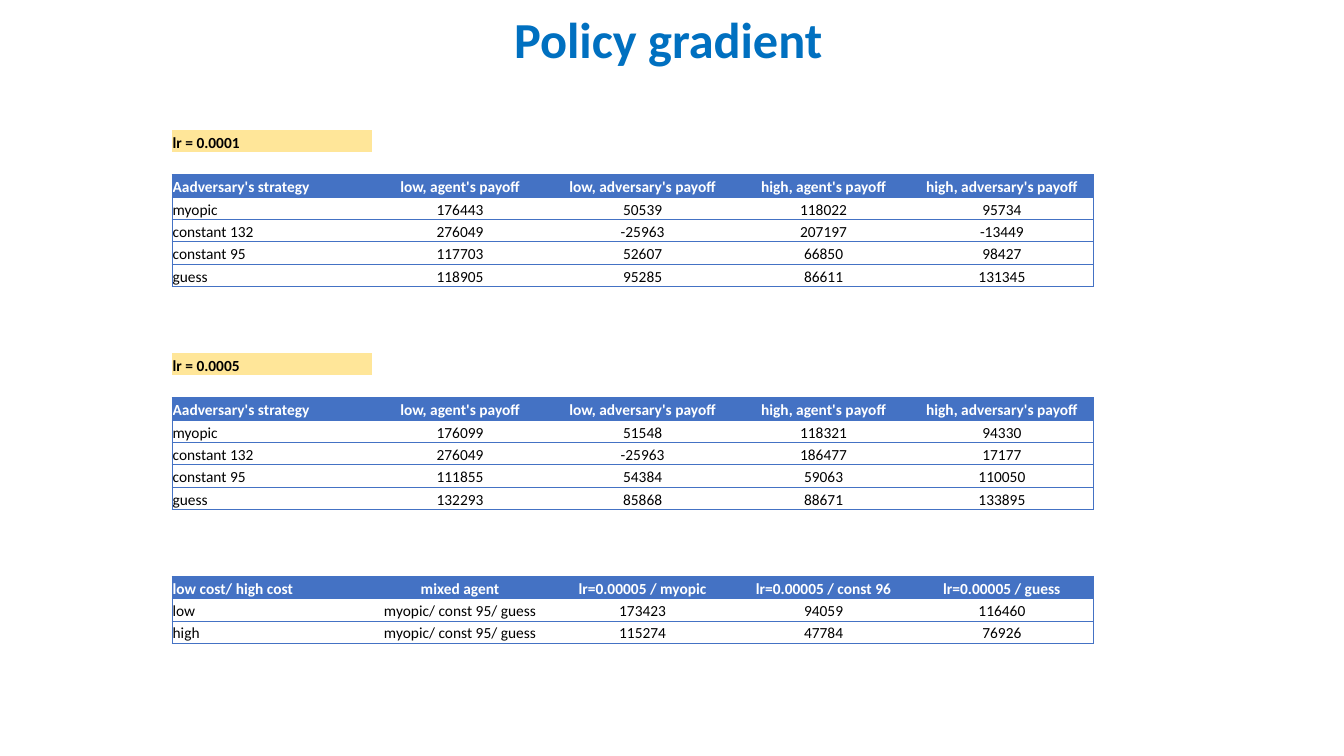
from lxml import etree
from pptx import Presentation, util as u
from pptx.dml.color import RGBColor
from pptx.enum import text
from pptx.oxml import ns

FONT = "Calibri"
BLUE, BLACK, WHITE, AMBER = "4472C4", "000000", "FFFFFF", "FFE699"
NO_STYLE = "{2D5ABB26-0587-4C30-8999-92F81FD0307C}"
ROW_HEIGHT = 0.562
COLUMN_WIDTHS = [5.04, 4.45, 4.75, 4.37, 4.62]
PAYOFFS = ["Aadversary's strategy", "low, agent's payoff", "low, adversary's payoff",
           "high, agent's payoff", "high, adversary's payoff"]
MIXED = "myopic/ const 95/ guess"

# First table row of each block, the label above it, and its rows with header
BLOCKS = [
    (2, "lr = 0.0001", [
        PAYOFFS,
        ["myopic", "176443", "50539", "118022", "95734"],
        ["constant 132", "276049", "-25963", "207197", "-13449"],
        ["constant 95", "117703", "52607", "66850", "98427"],
        ["guess", "118905", "95285", "86611", "131345"],
    ]),
    (12, "lr = 0.0005", [
        PAYOFFS,
        ["myopic", "176099", "51548", "118321", "94330"],
        ["constant 132", "276049", "-25963", "186477", "17177"],
        ["constant 95", "111855", "54384", "59063", "110050"],
        ["guess", "132293", "85868", "88671", "133895"],
    ]),
    (20, None, [
        ["low cost/ high cost", "mixed agent", "lr=0.00005 / myopic",
         "lr=0.00005 / const 96", "lr=0.00005 / guess"],
        ["low", MIXED, "173423", "94059", "116460"],
        ["high", MIXED, "115274", "47784", "76926"],
    ]),
]
ROW_COUNT = 24


def rgb(hex_color):
    return RGBColor.from_string(hex_color)


def style_run(paragraph, size, color, bold):
    font = paragraph.runs[0].font
    font.name, font.size, font.bold = FONT, u.Pt(size), bold
    font.color.rgb = rgb(color)


def add_title(slide, left, top, width, height):
    title = slide.shapes.add_textbox(u.Cm(left), u.Cm(top), u.Cm(width), u.Cm(height))
    frame = title.text_frame
    frame.word_wrap = True
    frame.vertical_anchor = text.MSO_ANCHOR.MIDDLE
    frame.text = "Policy gradient"
    heading = frame.paragraphs[0]
    heading.alignment = text.PP_ALIGN.CENTER
    heading.line_spacing = 0.9
    style_run(heading, 36, "0070C0", True)


def draw_borders(cell, sides):
    """Draw thin blue lines on the sides given as letters, in the order L, R, T, B."""
    properties = cell._tc.get_or_add_tcPr()
    for side in sides:
        line = etree.SubElement(properties, ns.qn("a:ln" + side), w=str(u.Pt(0.5)))
        fill = etree.SubElement(line, ns.qn("a:solidFill"))
        etree.SubElement(fill, ns.qn("a:srgbClr"), val=BLUE)


def write_cell(cell, wording, color=BLACK, bold=False, centred=False):
    cell.text = wording
    paragraph = cell.text_frame.paragraphs[0]
    if centred:
        paragraph.alignment = text.PP_ALIGN.CENTER
    style_run(paragraph, 11, color, bold)


def fill_cell(cell, color):
    cell.fill.solid()
    cell.fill.fore_color.rgb = rgb(color)


def prepare_cell(cell):
    """Tighten the margins and keep empty cells as low as the written ones."""
    cell.margin_left = cell.margin_right = cell.margin_top = u.Cm(0.02)
    cell.margin_bottom = 0
    cell.vertical_anchor = text.MSO_ANCHOR.BOTTOM
    cell.fill.background()
    paragraph = cell.text_frame.paragraphs[0]._p
    etree.SubElement(paragraph, ns.qn("a:endParaRPr"), sz="1100")


def write_block(table, first_row, label, rows):
    if label:
        label_cell = table.cell(first_row - 2, 0)
        write_cell(label_cell, label, bold=True)
        fill_cell(label_cell, AMBER)
    last_column = len(COLUMN_WIDTHS) - 1
    for r, row in enumerate(rows):
        is_header = r == 0
        for c, wording in enumerate(row):
            cell = table.cell(first_row + r, c)
            write_cell(cell, wording, WHITE if is_header else BLACK, is_header, c > 0)
            cell.fill.background()
            draw_order = ("L" if c == 0 else "") + ("R" if c == last_column else "") + "TB"
            fill = cell._tc.tcPr[0]
            cell._tc.tcPr.remove(fill)
            draw_borders(cell, draw_order)
            cell._tc.tcPr.append(fill)
            if is_header:
                fill_cell(cell, BLUE)


def add_results(slide, left, top):
    frame = slide.shapes.add_table(
        ROW_COUNT, len(COLUMN_WIDTHS), u.Cm(left), u.Cm(top),
        u.Cm(sum(COLUMN_WIDTHS)), u.Cm(ROW_COUNT * ROW_HEIGHT))
    table = frame.table
    table.first_row = table.horz_banding = False
    table._tbl.tblPr.find(ns.qn("a:tableStyleId")).text = NO_STYLE
    for column, width in zip(table.columns, COLUMN_WIDTHS):
        column.width = u.Cm(width)
    for row in table.rows:
        row.height = u.Cm(ROW_HEIGHT)
    for cell in table.iter_cells():
        prepare_cell(cell)
    for block in BLOCKS:
        write_block(table, *block)


def main():
    deck = Presentation()
    deck.slide_width, deck.slide_height = u.Cm(33.87), u.Cm(19.05)
    slide = deck.slides.add_slide(deck.slide_layouts[6])
    add_title(slide, 2.24, 0.23, 29.21, 1.68)
    add_results(slide, 4.33, 3.28)
    deck.save("out.pptx")


if __name__ == "__main__":
    main()
